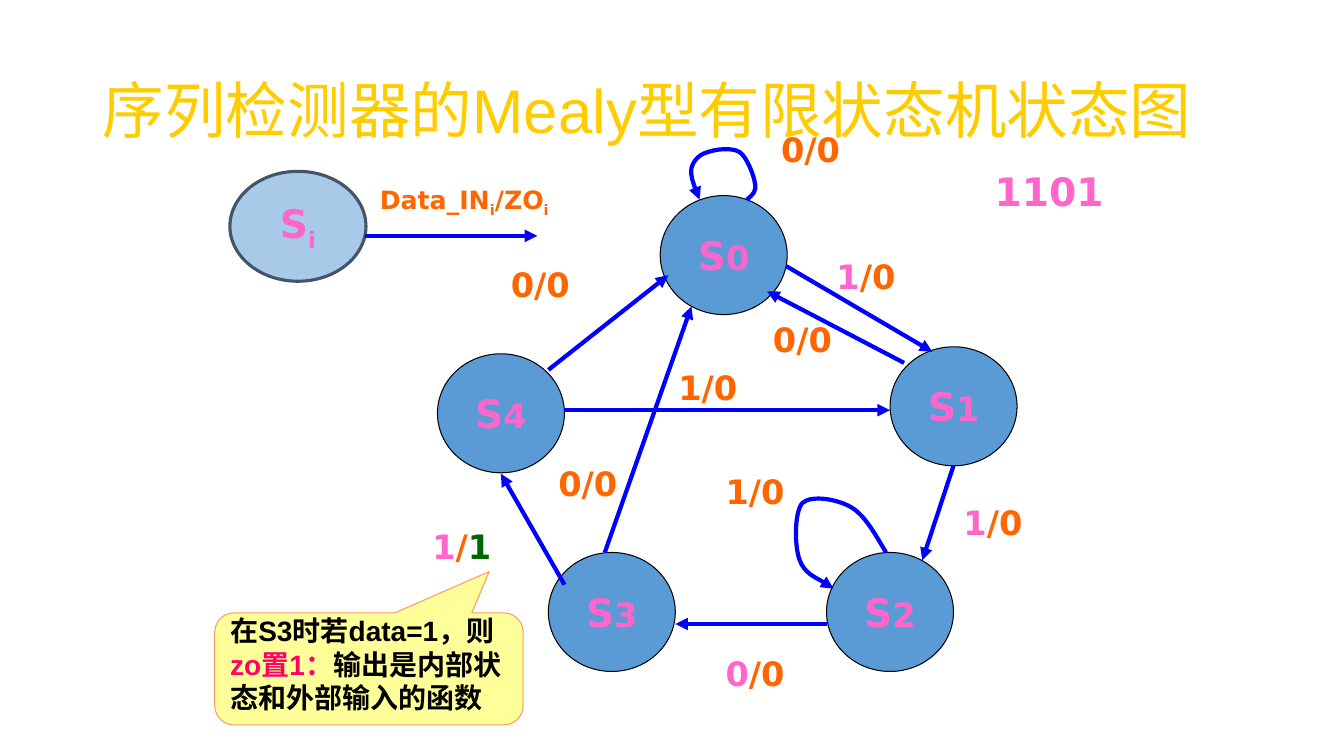
from lxml import etree
from pptx import Presentation
from pptx.dml.color import RGBColor
from pptx.enum.shapes import MSO_CONNECTOR, MSO_SHAPE
from pptx.enum.text import MSO_ANCHOR, MSO_AUTO_SIZE, PP_ALIGN
from pptx.oxml.ns import qn
from pptx.util import Pt

STRAIGHT = MSO_CONNECTOR.STRAIGHT
OVAL, CALLOUT = MSO_SHAPE.OVAL, MSO_SHAPE.ROUNDED_RECTANGULAR_CALLOUT
MIDDLE, BOTTOM, TOP = MSO_ANCHOR.MIDDLE, MSO_ANCHOR.BOTTOM, MSO_ANCHOR.TOP
LEFT, CENTER = PP_ALIGN.LEFT, PP_ALIGN.CENTER
FIT, NONE = MSO_AUTO_SIZE.SHAPE_TO_FIT_TEXT, MSO_AUTO_SIZE.NONE

COLORS = {
    "title": "FFCC00", "pink": "FF66CC", "orange": "FF6600", "green": "006600",
    "state": "5B9BD5", "outline": "000000", "legend": "44546A", "arrow": "0000FF",
    "note": "FFFF99", "note_line": "FF9966", "ink": "000000", "accent": "FF0066",
}
LABEL_FONT, BODY_FONT = "DejaVu Sans", "Arial"
STATE_SIZE = (90.7, 85)
LABEL_SIZE = (65.5, 36)

STATES = {
    "0": (471.6, 139.7),
    "1": (635.8, 247.7),
    "2": (590.4, 394.6),
    "3": (391.7, 394.6),
    "4": (312.5, 252.7),
}
ARROWS = [
    (561.6, 190.1, 666, 251.3),
    (681.1, 332.6, 658.8, 400.3),
    (590.4, 445.7, 482.4, 445.7),
    (403.2, 417.6, 357.8, 338.4),
    (391.7, 264.2, 477.4, 196.6),
    (403.2, 293, 635.8, 293),
    (645.8, 259.2, 547.9, 208.1),
    (432, 394.6, 493.9, 218.9),
    (260.6, 168.5, 383.8, 168.5),
]
LABELS = [
    (301.7, 372.2, [("1", "pink"), ("/", "orange"), ("1", "green")]),
    (590.4, 179.3, [("1", "pink"), ("/0", "orange")]),
    (681.1, 355, [("1", "pink"), ("/0", "orange")]),
    (511.2, 463, [("0", "pink"), ("/0", "orange")]),
    (357.8, 185, [("0/0", "orange")]),
    (477.4, 258.5, [("1/0", "orange")]),
    (545, 224.6, [("0/0", "orange")]),
    (511.2, 332.6, [("1/0", "orange")]),
    (391.7, 326.9, [("0/0", "orange")]),
    (550.8, 88.6, [("0/0", "orange")]),
]
S2_LOOP = [
    (632.9, 394.6), (625, 381.6), (617.8, 367.9), (607.7, 362.2),
    (597.6, 356.4), (579.6, 353.5), (573.1, 359.3),
    (567.4, 365.8), (567.4, 389.5), (571, 399.6),
    (574.6, 409.7), (591.1, 416.9), (595.4, 420.5),
]
S0_LOOP = [
    (533.5, 142.6), (537.1, 139.7), (540.7, 136.8), (539.3, 131),
    (538.6, 125.3), (533.5, 112.3), (528.5, 108.7),
    (522.7, 105.1), (511.2, 106.6), (505.4, 108.7),
    (499.7, 110.2), (495.4, 114.5), (493.9, 120.2),
    (493.2, 125.3), (496.1, 133.9), (499.7, 142.6),
]


class Diagram:
    def __init__(self, slide):
        self.s = slide

    def color(self, name):
        return RGBColor.from_string(COLORS[name])

    def add_text(self, sp, runs, size, font=LABEL_FONT, bold=True, align=LEFT, **frame):
        tf = sp.text_frame
        for name, value in frame.items():
            setattr(tf, name, value)
        p = tf.paragraphs[0]
        p.alignment = align
        for text, color, *extra in runs:
            style = {"size": size, "baseline": None, **(extra[0] if extra else {})}
            r = p.add_run()
            r.text = text
            fmt = {"name": font, "size": Pt(style["size"]), "bold": bold}
            for name, value in fmt.items():
                setattr(r.font, name, value)
            r.font.color.rgb = self.color(color)
            if style["baseline"]:
                r._r.get_or_add_rPr().set("baseline", str(style["baseline"]))
        return p

    def title(self, text, x, y, w, h):
        sp = self.s.shapes.title
        for name, value in zip(("left", "top", "width", "height"), (x, y, w, h)):
            setattr(sp, name, Pt(value))
        p = self.add_text(sp, [(text, "title")], 44, BODY_FONT, False, word_wrap=True,
                          auto_size=NONE, vertical_anchor=MIDDLE)
        p.line_spacing = 0.9

    def label(self, runs, x, y, w, h, size=24, wrap=False):
        sp = self.s.shapes.add_textbox(Pt(x), Pt(y), Pt(w), Pt(h))
        self.add_text(sp, runs, size, word_wrap=wrap, auto_size=FIT, vertical_anchor=TOP)

    def shape(self, kind, x, y, w, h, fill, line, width=0.75, alpha=None):
        sp = self.s.shapes.add_shape(kind, Pt(x), Pt(y), Pt(w), Pt(h))
        sp.shadow.inherit = False
        sp.fill.solid()
        sp.fill.fore_color.rgb = self.color(fill)
        sp.line.color.rgb = self.color(line)
        sp.line.width = Pt(width)
        if alpha:
            clr = sp._element.spPr.find(qn("a:solidFill"))[0]
            etree.SubElement(clr, qn("a:alpha"), val=str(alpha * 1000))
        return sp

    def state(self, runs, x, y, w, h, **style):
        sp = self.shape(OVAL, x, y, w, h, "state", **style)
        self.add_text(sp, runs, 28, align=CENTER, word_wrap=False, vertical_anchor=MIDDLE)

    def note(self, runs, x, y, w, h, adjustments):
        sp = self.shape(CALLOUT, x, y, w, h, "note", "note_line")
        for i, value in enumerate(adjustments):
            sp.adjustments[i] = value
        self.add_text(sp, runs, 20, BODY_FONT, word_wrap=True, vertical_anchor=BOTTOM)

    def arrowhead(self, sp):
        sp.line.color.rgb = self.color("arrow")
        sp.line.width = Pt(3)
        ln = sp._element.spPr.find(qn("a:ln"))
        etree.SubElement(ln, qn("a:tailEnd"), type="triangle")

    def arrow(self, x1, y1, x2, y2):
        sp = self.s.shapes.add_connector(STRAIGHT, Pt(x1), Pt(y1), Pt(x2), Pt(y2))
        self.arrowhead(sp)
        etree.SubElement(sp._element.spPr, qn("a:effectLst"))

    def loop(self, points):
        start, *rest = [(Pt(x), Pt(y)) for x, y in points]
        builder = self.s.shapes.build_freeform(*start)
        builder.add_line_segments(rest, close=False)
        sp = builder.convert_to_shape()
        sp.shadow.inherit = False
        sp.fill.background()
        self.arrowhead(sp)
        outline = next(sp._element.iter(qn("a:path")))
        segments = outline.findall(qn("a:lnTo"))
        for i in range(0, len(segments), 3):
            curve = etree.SubElement(outline, qn("a:cubicBezTo"))
            for segment in segments[i:i + 3]:
                curve.append(segment[0])
                outline.remove(segment)


def main():
    prs = Presentation()
    prs.slide_width, prs.slide_height = Pt(960), Pt(540)
    d = Diagram(prs.slides.add_slide(prs.slide_layouts[5]))
    sub = {"baseline": -25000}

    d.title("序列检测器的Mealy型有限状态机状态图", 66.2, 28.8, 828, 104.4)
    d.label([("1101", "pink")], 703.4, 115.9, 94.3, 41, size=28)
    for digit, (x, y) in STATES.items():
        d.state([("S", "pink"), (digit, "pink", {"size": 24})], x, y, *STATE_SIZE,
                line="outline")
    d.state([("S", "pink"), ("i", "pink", sub)], 164.2, 122.4, 97.2, 78.5,
            line="legend", width=2.25, alpha=53)
    for ends in ARROWS:
        d.arrow(*ends)
    for points in (S2_LOOP, S0_LOOP):
        d.loop(points)
    for x, y, runs in LABELS:
        d.label(runs, x, y, *LABEL_SIZE)
    d.label([("Data_IN", "orange"), ("i", "orange", sub), ("/ZO", "orange"),
             ("i", "orange", sub)], 264.2, 128.2, 151.9, 28.8, size=18, wrap=True)
    d.note([("在S3时若data=1，则", "ink"), ("zo置1：", "accent"),
            ("输出是内部状态和外部输入的函数", "ink")],
           153.4, 437.8, 220.3, 79.9, (0.39, -0.87, 0.17))
    prs.save("out.pptx")


if __name__ == "__main__":
    main()
